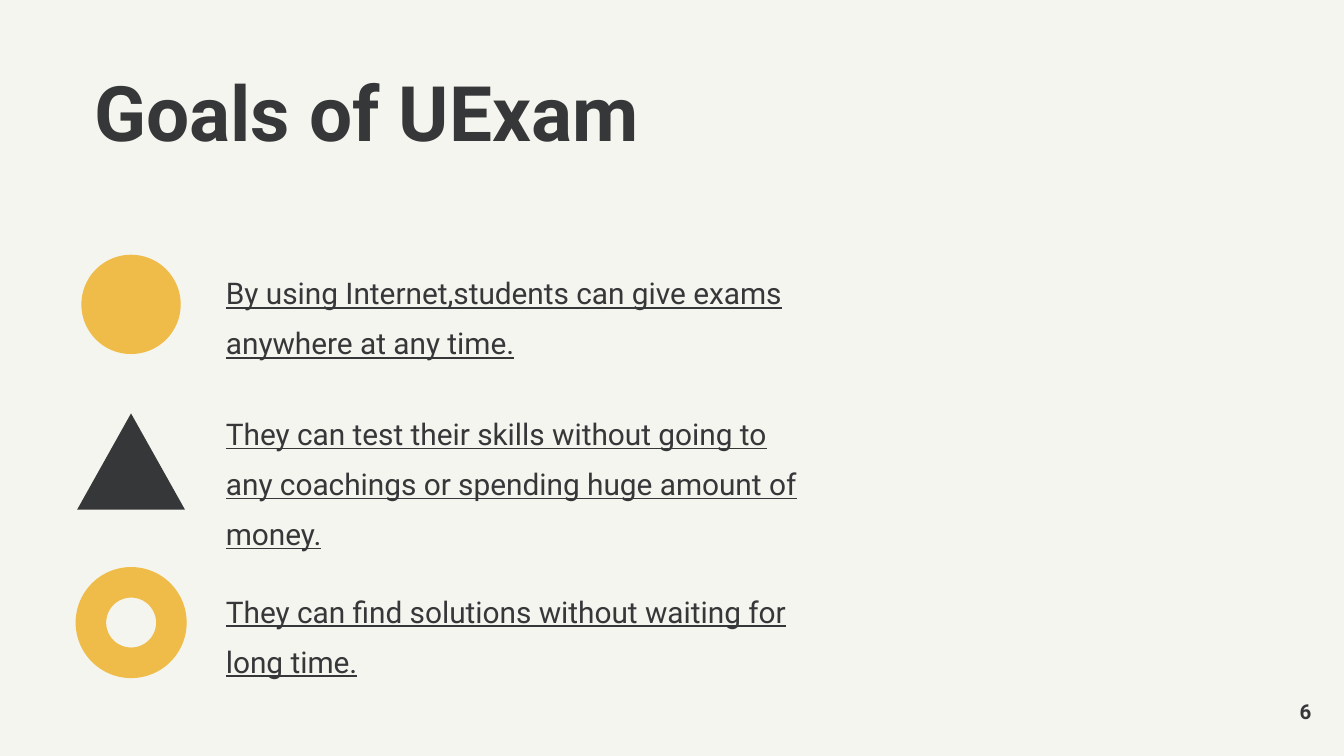
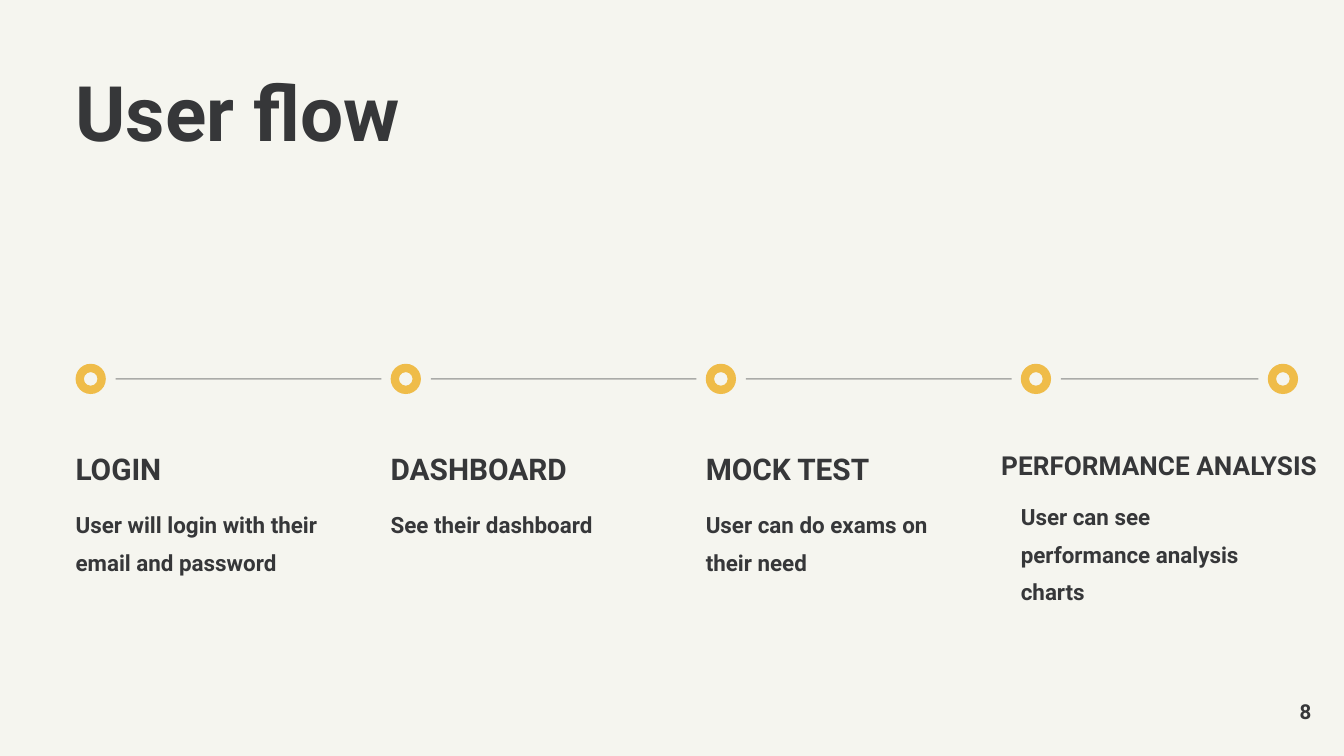
from lxml import etree
from pptx import Presentation
from pptx.dml.color import RGBColor
from pptx.enum.shapes import MSO_CONNECTOR as Connector, MSO_SHAPE as Shape
from pptx.enum.text import MSO_ANCHOR as Anchor, MSO_AUTO_SIZE as AutoSize, PP_ALIGN as Align
from pptx.oxml.ns import qn
from pptx.util import Pt

CREAM = RGBColor(0xF5, 0xF5, 0xEF)
CHARCOAL = RGBColor(0x36, 0x37, 0x39)
YELLOW = RGBColor(0xEF, 0xBC, 0x49)
FONT = "Roboto"
LEFT = 40.5
RING_WIDTH = 0.275


def write_text(shape, text, size, bold=True, underline=None, align=Align.LEFT,
               spacing=1.4, anchor=Anchor.TOP, fit=AutoSize.SHAPE_TO_FIT_TEXT):
    frame = shape.text_frame
    frame.text = text
    frame.word_wrap = True
    frame.auto_size = fit
    frame.vertical_anchor = anchor
    frame.margin_left = frame.margin_top = frame.margin_right = frame.margin_bottom = 0
    paragraph = frame.paragraphs[0]
    paragraph.alignment = align
    paragraph.line_spacing = spacing
    font = paragraph.runs[0].font
    font.name, font.size, font.bold, font.underline = FONT, Pt(size), bold, underline
    font.color.rgb = CHARCOAL


def add_icon(slide, kind, left, top, width, height, color):
    icon = slide.shapes.add_shape(kind, Pt(left), Pt(top), Pt(width), Pt(height))
    icon.shadow.inherit = False
    icon.fill.solid()
    icon.fill.fore_color.rgb = color
    icon.line.fill.background()
    if kind == Shape.DONUT:
        icon.adjustments[0] = RING_WIDTH


presentation = Presentation()
presentation.slide_width, presentation.slide_height = Pt(720), Pt(405)
background = presentation.slide_master.background.fill
background.solid()
background.fore_color.rgb = CREAM

# Shared title and page number
slides = []
for heading, number, indent in [("Goals of UExam", "6", 10), ("User flow", "8", 0)]:
    slide = presentation.slides.add_slide(presentation.slide_layouts[5])
    title = slide.shapes.title
    title.left, title.top, title.width, title.height = Pt(LEFT), Pt(40.5), Pt(510.5), Pt(57)
    write_text(title, heading, 41, spacing=0.9, fit=AutoSize.NONE)
    title.text_frame.margin_left = Pt(indent)
    page = slide.shapes.add_textbox(Pt(659.5), Pt(373.7), Pt(43), Pt(14.4))
    write_text(page, number, 11, align=Align.RIGHT, spacing=1.0,
               anchor=Anchor.MIDDLE, fit=AutoSize.NONE)
    slides.append(slide)
goals_slide, flow_slide = slides

# Goals: icon, its box and colour, then text top, height and wording
goals = [
    (Shape.OVAL, (43.6, 136.5, 53.2, 53.2), YELLOW, 139.7, 46.8,
     "By using Internet,students can give exams anywhere at any time."),
    (Shape.ISOSCELES_TRIANGLE, (41.3, 221.5, 57.8, 51.6), CHARCOAL, 215, 73.4,
     "They can test their skills without going to any coachings "
     "or spending huge amount of money."),
    (Shape.DONUT, (LEFT, 303.8, 59.5, 59.5), YELLOW, 310.2, 46.8,
     "They can find solutions without waiting for long time."),
]
for kind, box, color, top, height, goal in goals:
    add_icon(goals_slide, kind, *box, color)
    text_box = goals_slide.shapes.add_textbox(Pt(121), Pt(top), Pt(309), Pt(height))
    write_text(text_box, goal, 16, bold=False, underline=True)

# User flow: equally spaced stops and a closer end point
STEP = 168.8
RING = 16.2
LINE_Y = 203
stops = [LEFT + STEP * index for index in range(4)] + [679.2]
for left in stops:
    add_icon(flow_slide, Shape.DONUT, left, LINE_Y - RING / 2, RING, RING, YELLOW)
for start, end in zip(stops, stops[1:]):
    line = flow_slide.shapes.add_connector(
        Connector.STRAIGHT, Pt(start + 21.5), Pt(LINE_Y), Pt(end - 5), Pt(LINE_Y))
    line.line.width = Pt(0.75)
    line.line.color.rgb = CHARCOAL
    properties = line._element.spPr
    color = properties.find(".//" + qn("a:srgbClr"))
    etree.SubElement(color, qn("a:alpha"), val="38000")
    etree.SubElement(properties, qn("a:effectLst"))

# Stop labels: the last heading is longer, so smaller and centred on a wider box
steps = [
    ("LOGIN", "User will login with their email and password"),
    ("DASHBOARD", "See their dashboard"),
    ("MOCK TEST", "User can do exams on their need"),
    ("PERFORMANCE ANALYSIS", "User can see performance analysis charts"),
]
for left, (heading, description) in zip(stops, steps):
    is_last = heading == steps[-1][0]
    heading_left, heading_width = (535, 172) if is_last else (left, 132.5)
    heading_box = flow_slide.shapes.add_textbox(
        Pt(heading_left), Pt(234), Pt(heading_width), Pt(19.5))
    write_text(heading_box, heading, 14 if is_last else 16,
               align=Align.CENTER if is_last else Align.LEFT)
    description_box = flow_slide.shapes.add_textbox(
        Pt(left), Pt(263.8 if is_last else 268.3), Pt(132.5), Pt(35))
    write_text(description_box, description, 12)

presentation.save("out.pptx")
